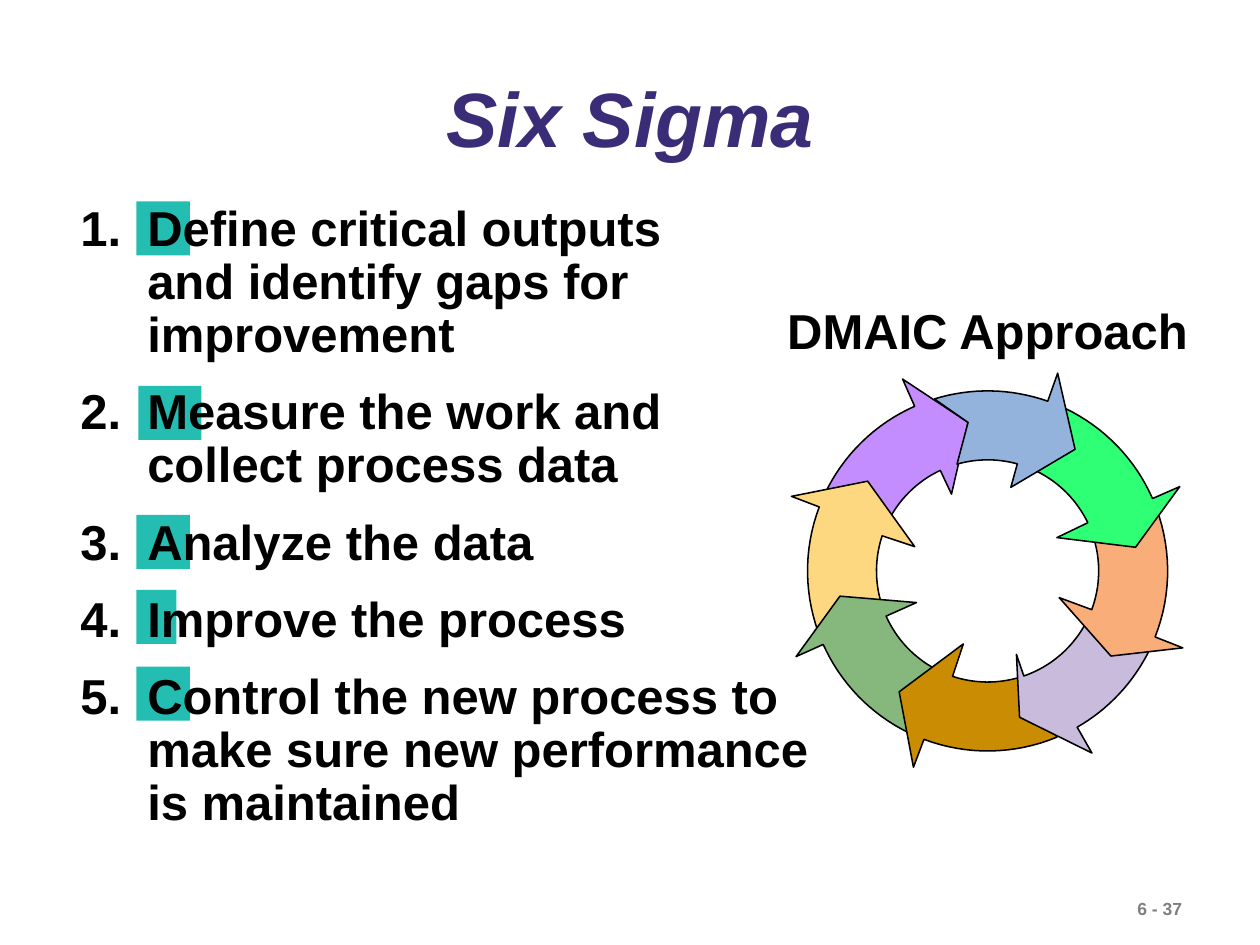
import math
from dataclasses import dataclass

import lxml.etree
import pptx
import pptx.dml.color
import pptx.enum.shapes
import pptx.enum.text
import pptx.oxml.ns
import pptx.util

Cm = pptx.util.Cm
Pt = pptx.util.Pt


@dataclass(frozen=True)
class Theme:
    font: str = "Arial"
    title: str = "3A2C76"
    text: str = "000000"
    muted: str = "7F7F7F"
    highlight: str = "24BDB2"
    title_size: int = 44
    body_size: int = 28
    number_size: int = 10


THEME = Theme()

# Text and the left, top, width of the box behind its first letter (cm, in the list)
STEPS = [
    ("Define critical outputs \vand identify gaps for improvement", 1.38, 0.07, 1.08),
    ("Measure the work and \vcollect process data", 1.42, 3.79, 1.27),
    ("Analyze the data", 1.38, 6.39, 1.08),
    ("Improve the process", 1.38, 7.9, 0.81),
    ("Control the new process to make sure new performance is maintained",
     1.38, 9.45, 1.08),
]
HIGHLIGHT_HEIGHT = 1.09

# Back to front: colour, outer tail, inner tail, outer barb, tip and inner barb
# in degrees clockwise from the top, then the inner barb's radius in cm
ARROWS = [
    ("C38DFF", -64.7, -64.6, -23.9, -7.5, -25.2, 1.71),
    ("FED880", 247.5, 253.6, 290.8, 306.8, 288.4, 1.55),
    ("86B87D", 206.2, 206.9, 245.9, 260.3, 246, 1.57),
    ("CA8C02", 157.4, 162.8, 200.7, 216.2, 198.4, 1.55),
    ("C9BBDB", 115.8, 116.6, 150.2, 167.7, 161, 1.78),
    ("F9AD78", 67, 72.2, 111.5, 124.6, 110.4, 1.54),
    ("2FFF74", 25.7, 26, 66.3, 80.9, 64.3, 1.55),
    ("93B3DD", -17.2, -16, 19.5, 35.7, 15.5, 1.75),
]
OUTER, INNER, BARB, TIP = 3.63, 2.24, 4.23, 3.02
ARC_STEPS = 16


def rgb(value):
    return pptx.dml.color.RGBColor.from_string(value)


def style(p, size, color, italic=False):
    for r in p.runs:
        r.font.name = THEME.font
        r.font.size = Pt(size)
        r.font.bold = True
        r.font.italic = italic
        r.font.color.rgb = rgb(color)


def add_text(s, box, text, size, color, wrap=True, italic=False):
    tb = s.shapes.add_textbox(*map(Cm, box))
    tf = tb.text_frame
    tf.word_wrap = wrap
    tf.text = text
    style(tf.paragraphs[0], size, color, italic)
    return tf


def add_title(s, box):
    tf = add_text(s, box, "Six Sigma", THEME.title_size, THEME.title, italic=True)
    tf.vertical_anchor = pptx.enum.text.MSO_ANCHOR.MIDDLE
    p = tf.paragraphs[0]
    p.alignment = pptx.enum.text.PP_ALIGN.CENTER
    p.line_spacing = 0.9


def number_paragraph(p, indent):
    pPr = p._p.get_or_add_pPr()
    pPr.set("marL", str(Cm(indent)))
    pPr.set("indent", str(-Cm(indent)))
    num = lxml.etree.SubElement(pPr, pptx.oxml.ns.qn("a:buAutoNum"))
    num.set("type", "arabicPeriod")


def add_steps(s, box):
    left, top = box[:2]
    for _, dx, dy, width in STEPS:
        sp = s.shapes.add_shape(
            pptx.enum.shapes.MSO_SHAPE.RECTANGLE,
            *map(Cm, (left + dx, top + dy, width, HIGHLIGHT_HEIGHT)))
        sp.shadow.inherit = False
        sp.fill.solid()
        sp.fill.fore_color.rgb = rgb(THEME.highlight)
        sp.line.fill.background()

    tf = s.shapes.add_textbox(*map(Cm, box)).text_frame
    tf.word_wrap = True
    for i, (text, *_) in enumerate(STEPS):
        p = tf.add_paragraph() if i else tf.paragraphs[0]
        p.text = text
        p.line_spacing = 0.9
        p.space_after = Pt(14)
        number_paragraph(p, 1.35)
        style(p, THEME.body_size, THEME.text)


def add_cycle(s, box):
    """Draw the ring of arrows around the centre of the box."""
    left, top, width, height = box
    cx, cy = left + width / 2, top + height / 2

    def polar(angle, radius):
        a = math.radians(angle)
        return Cm(cx + radius * math.sin(a)), Cm(cy - radius * math.cos(a))

    def arc(start, end, radius):
        return [polar(start + (end - start) * i / ARC_STEPS, radius)
                for i in range(ARC_STEPS + 1)]

    for i, (color, tail_out, tail_in, barb_out, tip, barb_in, barb_r) in enumerate(ARROWS):
        points = arc(tail_out, barb_out, OUTER)
        points += [polar(barb_out, BARB), polar(tip, TIP), polar(barb_in, barb_r)]
        points += arc(barb_in, tail_in, INNER)
        if i == len(ARROWS) - 1:  # the front arrow is notched by the rearmost tip
            points.append(polar(ARROWS[0][4], TIP))
        builder = s.shapes.build_freeform(*points[0])
        builder.add_line_segments(points[1:], close=True)
        sp = builder.convert_to_shape()
        sp.shadow.inherit = False
        sp.fill.solid()
        sp.fill.fore_color.rgb = rgb(color)
        sp.line.color.rgb = rgb(THEME.text)
        sp.line.width = Pt(0.88)


def main():
    prs = pptx.Presentation()
    prs.slide_width, prs.slide_height = Cm(25.4), Cm(19.05)
    s = prs.slides.add_slide(prs.slide_layouts[6])
    add_text(s, (22.68, 17.98, 2.72, 0.69), "6 - 37", THEME.number_size, THEME.muted)
    add_title(s, (1.91, 1.22, 21.59, 2.51))
    add_steps(s, (1.37, 3.99, 15.47, 12.9))
    add_cycle(s, (15.91, 7.51, 8, 8))
    add_text(s, (15.62, 5.94, 8.61, 1.45), "DMAIC Approach",
             THEME.body_size, THEME.text, wrap=False)
    prs.save("out.pptx")


if __name__ == "__main__":
    main()
